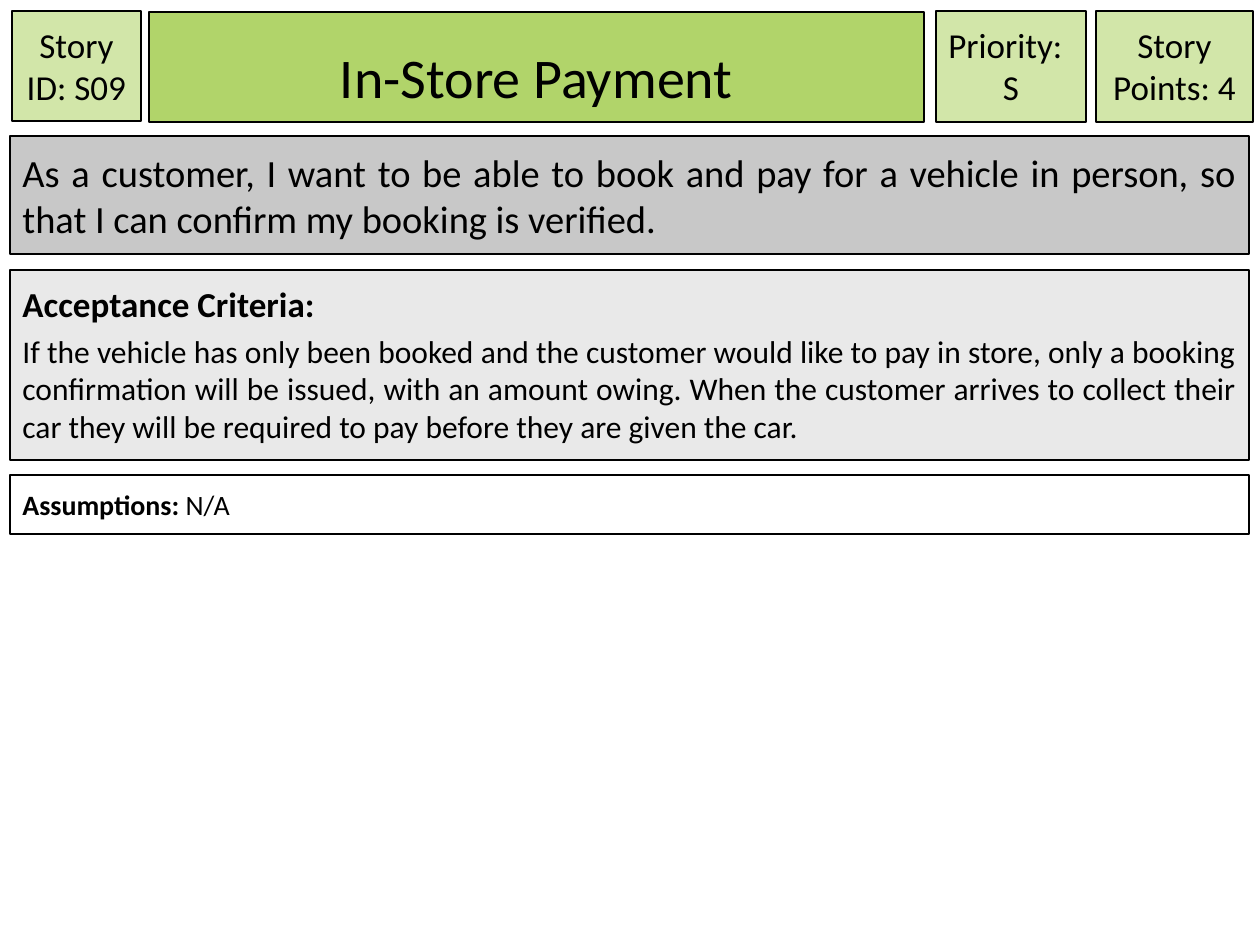
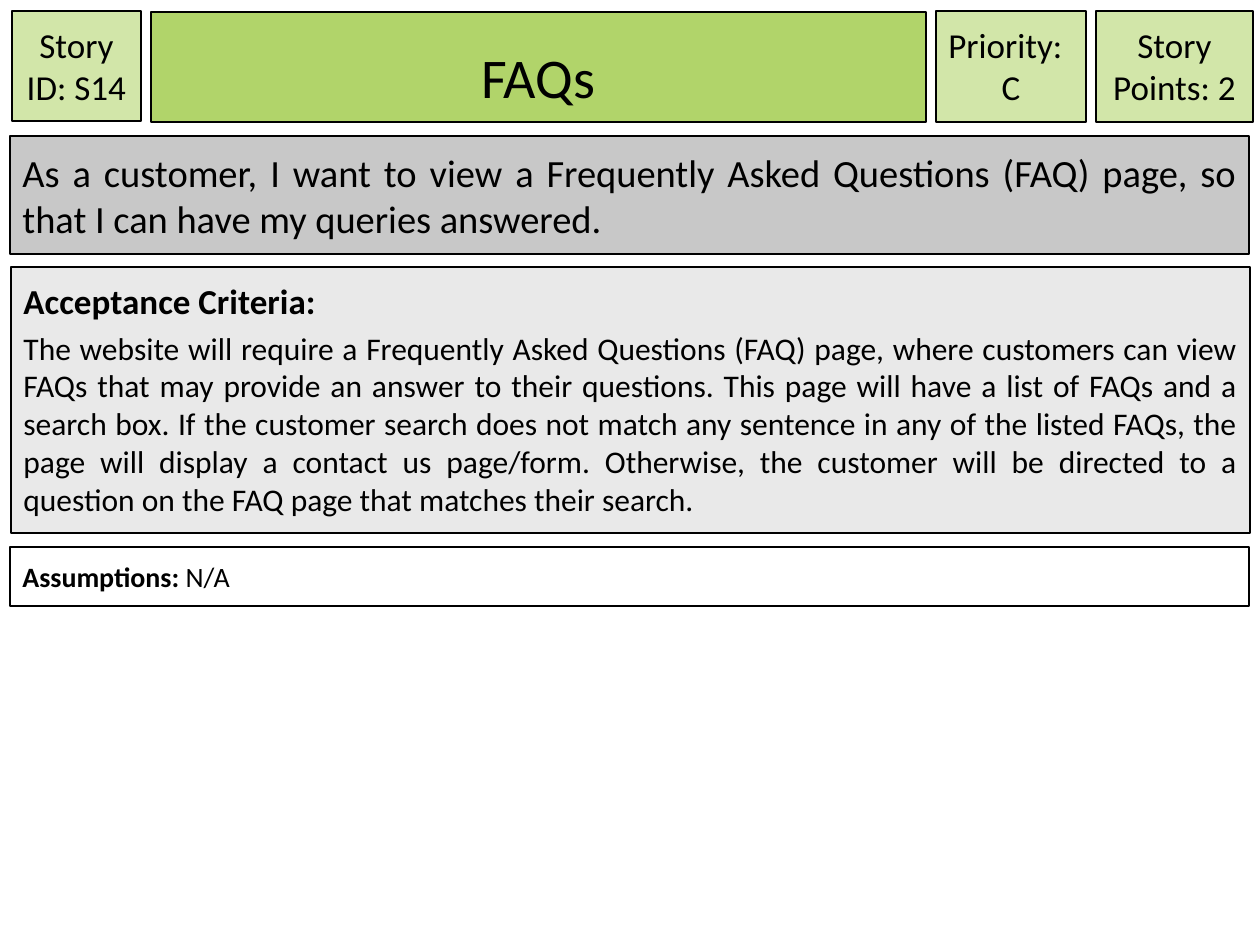
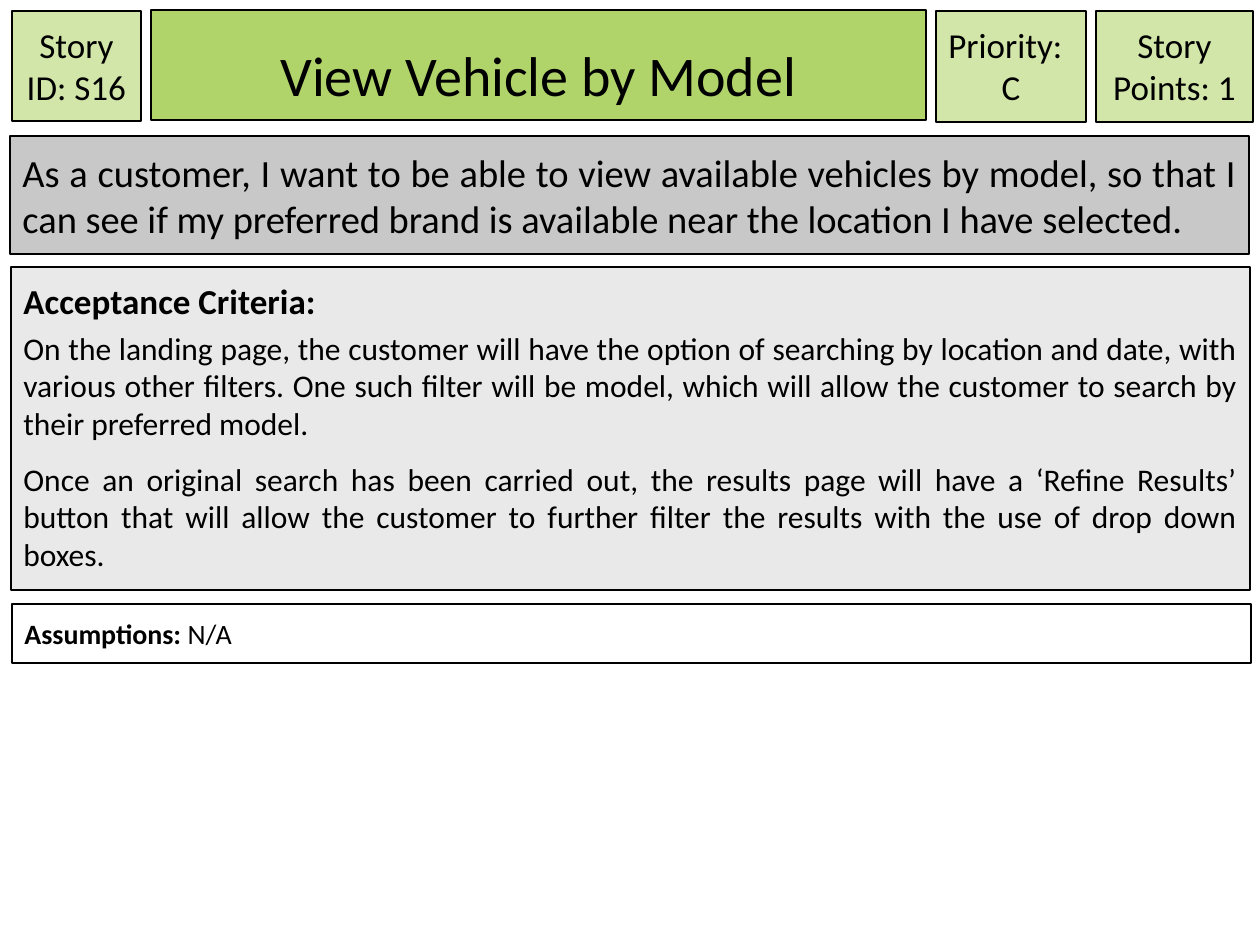
from dataclasses import dataclass
from typing import NamedTuple

from pptx import Presentation
from pptx.dml.color import RGBColor
from pptx.enum.shapes import MSO_SHAPE
from pptx.enum.text import MSO_ANCHOR, MSO_AUTO_SIZE
from pptx.enum.text import PP_ALIGN as Align
from pptx.util import Emu, Inches, Pt

# Shared look
FONT = "Calibri"
BLACK = RGBColor(0x00, 0x00, 0x00)
WHITE = RGBColor(0xFF, 0xFF, 0xFF)
TITLE_GREEN = RGBColor(0xB1, 0xD4, 0x6A)
TAG_GREEN = RGBColor(0xD2, 0xE6, 0xA9)
STORY_GREY = RGBColor(0xC8, 0xC8, 0xC8)
CRITERIA_GREY = RGBColor(0xE9, 0xE9, 0xE9)

PX_PER_INCH = 126
TITLE_LAYOUT = 5


def px(length: int) -> Emu:
    return Emu(round(length * Inches(1) / PX_PER_INCH))


class Box(NamedTuple):
    left: int
    top: int
    width: int
    height: int


class Run(NamedTuple):
    text: str
    bold: bool = False


class Line(NamedTuple):
    runs: tuple[Run, ...]
    size: int
    align: Align = Align.JUSTIFY
    before: int = 0
    after: int = 0


@dataclass(frozen=True)
class StoryCard:
    story_id: str
    title: str
    priority: str
    points: int
    story: str
    criteria: tuple[str, ...]
    title_box: Box
    criteria_box: Box
    assumptions_box: Box
    assumptions: str = "N/A"


# Places that are the same on every card
ID_BOX = Box(12, 11, 129, 110)
PRIORITY_BOX = Box(936, 11, 150, 111)
POINTS_BOX = Box(1096, 11, 157, 111)
STORY_BOX = Box(10, 136, 1239, 118)

CARDS = (
    StoryCard(
        "S09", "In-Store Payment", "S", 4,
        "As a customer, I want to be able to book and pay for a vehicle in person, "
        "so that I can confirm my booking is verified.",
        ("If the vehicle has only been booked and the customer would like to pay in "
         "store, only a booking confirmation will be issued, with an amount owing. "
         "When the customer arrives to collect their car they will be required to "
         "pay before they are given the car.",),
        Box(149, 12, 775, 110), Box(10, 270, 1239, 190), Box(10, 475, 1239, 59),
    ),
    StoryCard(
        "S14", "FAQs", "C", 2,
        "As a customer, I want to view a Frequently Asked Questions (FAQ) page, "
        "so that I can have my queries answered.",
        ("The website will require a Frequently Asked Questions (FAQ) page, where "
         "customers can view FAQs that may provide an answer to their questions. "
         "This page will have a list of FAQs and a search box. If the customer "
         "search does not match any sentence in any of the listed FAQs, the page "
         "will display a contact us page/form. Otherwise, the customer will be "
         "directed to a question on the FAQ page that matches their search.",),
        Box(151, 12, 775, 110), Box(11, 267, 1239, 266), Box(10, 547, 1239, 59),
    ),
    StoryCard(
        "S16", "View Vehicle by Model", "C", 1,
        "As a customer, I want to be able to view available vehicles by model, so "
        "that I can see if my preferred brand is available near the location I "
        "have selected.",
        ("On the landing page, the customer will have the option of searching by "
         "location and date, with various other filters. One such filter will be "
         "model, which will allow the customer to search by their preferred model.",
         "Once an original search has been carried out, the results page will have "
         "a ‘Refine Results’ button that will allow the customer to further filter "
         "the results with the use of drop down boxes."),
        Box(151, 10, 775, 110), Box(11, 267, 1239, 323), Box(12, 604, 1239, 59),
    ),
)


def style_box(shape, fill: RGBColor, line_width: float, anchor: MSO_ANCHOR) -> None:
    shape.fill.solid()
    shape.fill.fore_color.rgb = fill
    shape.line.color.rgb = BLACK
    shape.line.width = Pt(line_width)
    frame = shape.text_frame
    frame.word_wrap = True
    frame.auto_size = MSO_AUTO_SIZE.NONE
    frame.vertical_anchor = anchor
    frame.margin_left = frame.margin_right = Inches(0.1)
    frame.margin_top = frame.margin_bottom = Inches(0.1)


def write_lines(shape, lines: list[Line]) -> None:
    frame = shape.text_frame
    for index, line in enumerate(lines):
        paragraph = frame.add_paragraph() if index else frame.paragraphs[0]
        paragraph.alignment = line.align
        paragraph.space_before = Pt(line.before)
        paragraph.space_after = Pt(line.after)
        for part in line.runs:
            run = paragraph.add_run()
            run.text = part.text
            if len(line.runs) > 1:
                run.font.bold = part.bold
        font = paragraph.font
        font.name, font.size = FONT, Pt(line.size)
        font.color.rgb = BLACK
        if len(line.runs) == 1:
            font.bold = line.runs[0].bold


def add_box(slide, box: Box, fill: RGBColor, lines: list[Line]) -> None:
    shape = slide.shapes.add_shape(MSO_SHAPE.RECTANGLE, *map(px, box))
    shape.shadow.inherit = False
    style_box(shape, fill, 0.75, MSO_ANCHOR.TOP)
    write_lines(shape, lines)


def tag_line(text: str, align: Align = Align.CENTER) -> Line:
    return Line((Run(text),), 20, align)


def set_title(slide, card: StoryCard) -> None:
    title = slide.shapes.title
    title.left, title.top, title.width, title.height = map(px, card.title_box)
    style_box(title, TITLE_GREEN, 1.5, MSO_ANCHOR.BOTTOM)
    write_lines(title, [Line((Run(card.title),), 32, Align.CENTER)])


def add_card(presentation, card: StoryCard) -> None:
    slide = presentation.slides.add_slide(presentation.slide_layouts[TITLE_LAYOUT])

    # Header row
    set_title(slide, card)
    add_box(slide, ID_BOX, TAG_GREEN, [tag_line(f"Story ID: {card.story_id}")])
    add_box(slide, PRIORITY_BOX, TAG_GREEN,
            [tag_line("Priority:", Align.LEFT), tag_line(card.priority)])
    add_box(slide, POINTS_BOX, TAG_GREEN, [tag_line(f"Story Points: {card.points}")])

    # Story, acceptance criteria and assumptions
    add_box(slide, STORY_BOX, STORY_GREY, [Line((Run(card.story),), 22)])
    heading = Line((Run("Acceptance Criteria:", True),), 20, Align.LEFT)
    criteria = [Line((Run(text),), 18, before=4, after=6) for text in card.criteria]
    add_box(slide, card.criteria_box, CRITERIA_GREY, [heading, *criteria])
    add_box(slide, card.assumptions_box, WHITE,
            [Line((Run("Assumptions: ", True), Run(card.assumptions)), 16)])


def main() -> None:
    presentation = Presentation()
    presentation.slide_width = px(1260)
    presentation.slide_height = px(945)
    for card in CARDS:
        add_card(presentation, card)
    presentation.save("out.pptx")


if __name__ == "__main__":
    main()
